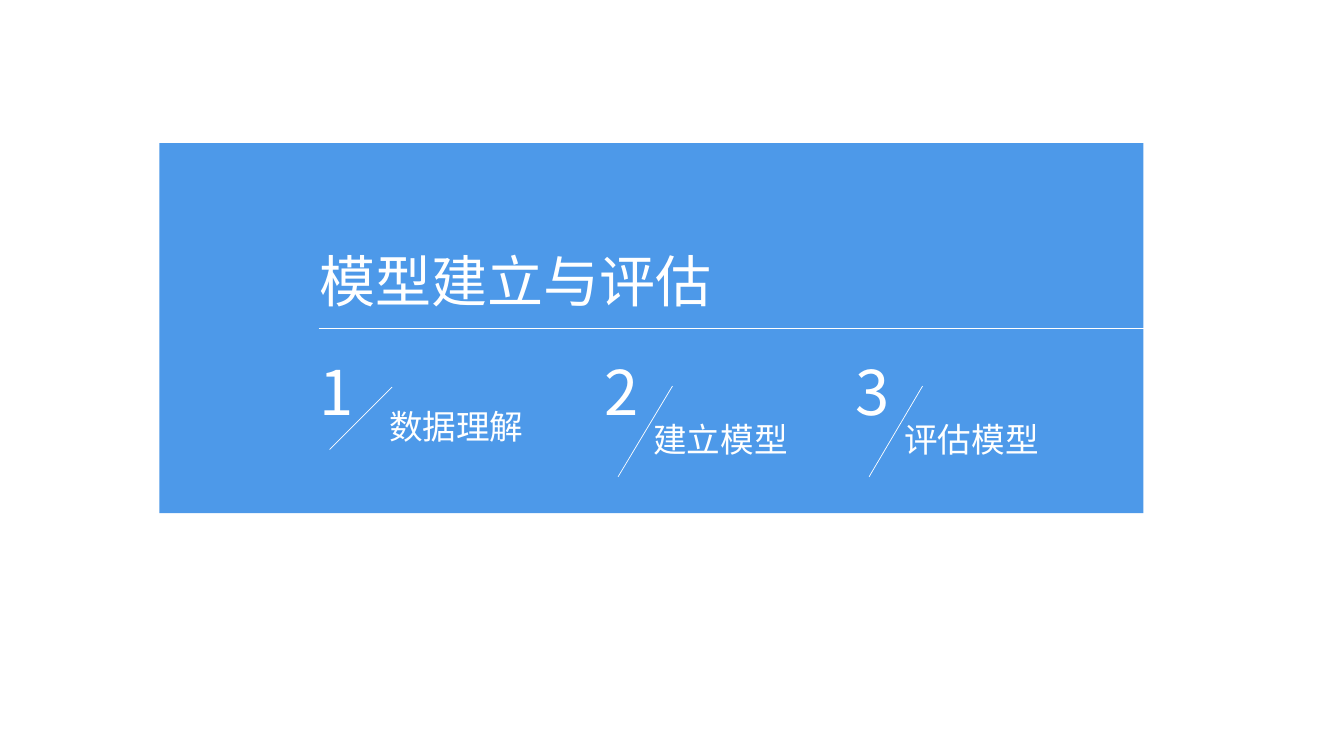
from lxml import etree
from pptx import Presentation
from pptx.dml.color import RGBColor
from pptx.enum.shapes import MSO_CONNECTOR, MSO_SHAPE
from pptx.enum.text import MSO_ANCHOR, PP_ALIGN
from pptx.oxml.ns import qn
from pptx.util import Inches, Pt

RECTANGLE = MSO_SHAPE.RECTANGLE
STRAIGHT = MSO_CONNECTOR.STRAIGHT
TOP = MSO_ANCHOR.TOP
LEFT = PP_ALIGN.LEFT

BLUE = RGBColor(0x4D, 0x99, 0xE9)
WHITE = RGBColor(0xFF, 0xFF, 0xFF)
FONT = "Noto Sans CJK SC"

NUMBER_TOP = 3.55
# number, number left, slash start, slash end, label, label position
STEPS = [
    ("1", 3.07, (3.89, 3.84), (3.27, 4.46), "数据理解", (3.76, 4.02)),
    ("2", 5.9, (6.67, 3.83), (6.13, 4.73), "建立模型", (6.38, 4.15)),
    ("3", 8.39, (9.15, 3.83), (8.62, 4.73), "评估模型", (8.87, 4.15)),
]


def add_panel(slide, left, top, width, height):
    panel = slide.shapes.add_shape(
        RECTANGLE, Inches(left), Inches(top), Inches(width), Inches(height))
    panel.shadow.inherit = False
    panel.fill.solid()
    panel.fill.fore_color.rgb = BLUE
    panel.line.fill.background()


def add_line(shapes, start, end):
    line = shapes.add_connector(
        STRAIGHT, *(Inches(value) for value in (*start, *end)))
    line.line.color.rgb = WHITE
    line.line.width = Pt(0.5)
    etree.SubElement(line._element.spPr, qn("a:effectLst"))


def add_text(shapes, text, size, left, top, width, height):
    """Add one unwrapped white line of text, its font set for Chinese too."""
    box = shapes.add_textbox(
        Inches(left), Inches(top), Inches(width), Inches(height))
    frame = box.text_frame
    frame.word_wrap = False
    frame.vertical_anchor = TOP
    paragraph = frame.paragraphs[0]
    paragraph.alignment = LEFT
    paragraph.line_spacing = 0.9
    run = paragraph.add_run()
    run.text = text
    run.font.size = Pt(size)
    run.font.color.rgb = WHITE
    run.font.name = FONT
    east_asian = etree.SubElement(run._r.get_or_add_rPr(), qn("a:ea"))
    east_asian.set("typeface", FONT)


def add_step(slide, number, number_left, start, end, label, label_position):
    shapes = slide.shapes.add_group_shape().shapes
    add_text(shapes, number, 44, number_left, NUMBER_TOP, 0.54, 0.84)
    add_line(shapes, start, end)
    add_text(shapes, label, 24, *label_position, 1.55, 0.5)


def main():
    presentation = Presentation()
    presentation.slide_width = Inches(13.33)
    presentation.slide_height = Inches(7.5)
    slide = presentation.slides.add_slide(presentation.slide_layouts[6])

    add_panel(slide, 1.58, 1.42, 9.76, 3.67)
    add_text(slide.shapes, "模型建立与评估", 40, 3.07, 2.47, 4.13, 0.77)
    add_line(slide.shapes, (3.16, 3.26), (12.05, 3.26))
    for step in STEPS:
        add_step(slide, *step)

    presentation.save("out.pptx")


if __name__ == "__main__":
    main()
